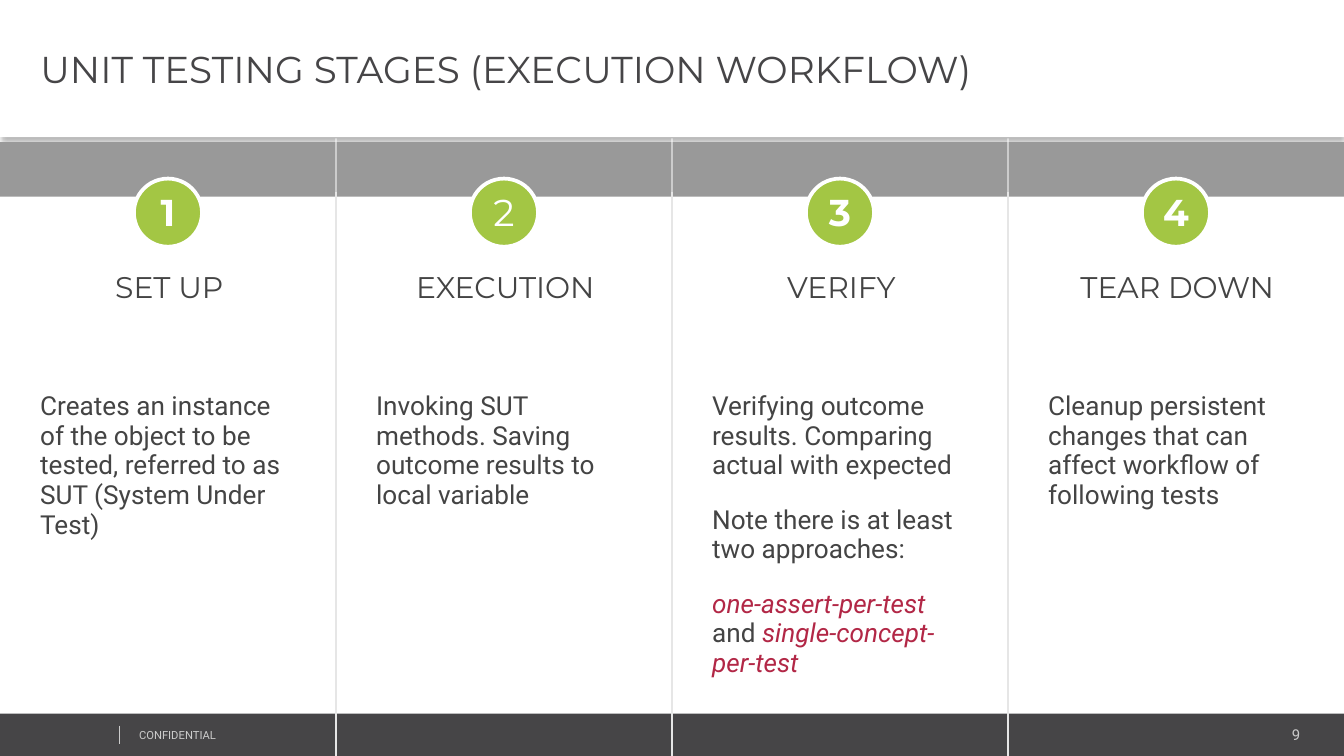
from lxml.etree import SubElement
from pptx import Presentation
from pptx.dml.color import RGBColor
from pptx.enum.shapes import MSO_CONNECTOR as Connector, MSO_SHAPE as Shape
from pptx.enum.text import MSO_ANCHOR as Anchor, MSO_AUTO_SIZE as AutoSize, PP_ALIGN as Align
from pptx.oxml.ns import qn
from pptx.util import Pt

WHITE = RGBColor(0xFF, 0xFF, 0xFF)
CHARCOAL = RGBColor(0x46, 0x45, 0x47)
TEXT = RGBColor(0x44, 0x44, 0x44)
BAND = RGBColor(0x99, 0x99, 0x99)
RULE = RGBColor(0xE6, 0xE6, 0xE6)
FOOTER_TEXT = RGBColor(0xCC, 0xCC, 0xCC)
GREEN = RGBColor(0xA3, 0xC6, 0x44)
CRIMSON = RGBColor(0xB2, 0x27, 0x46)
HEADING_FONT, BODY_FONT = "Montserrat", "Roboto"
WIDTH, HEIGHT = 720, 405

STAGES = [
    ("1", True, "SET UP", [
        [("Creates an instance of the object to be tested, "
          "referred to as SUT (System Under Test)", False)]]),
    ("2", False, "EXECUTION", [
        [("Invoking SUT methods. Saving outcome results to local variable", False)]]),
    ("3", True, "VERIFY", [
        [("Verifying outcome results. Comparing actual with expected", False)],
        [("Note there is at least two approaches:", False)],
        [("one-assert-per-test ", True), ("and ", False),
         ("single-concept-per-test", True)]]),
    ("4", True, "TEAR DOWN", [
        [("Cleanup persistent changes that can affect workflow of following tests", False)]]),
]


def add_span(para, text, font, size, color, bold=False, italic=False):
    """Append one formatted run to a paragraph."""
    span = para.add_run()
    span.text = text
    span.font.name, span.font.size = font, Pt(size)
    span.font.bold, span.font.italic = bold, italic
    span.font.color.rgb = color


def set_margins(frame, left, top, right, bottom):
    """Set the four insets of a text frame in points."""
    frame.margin_left, frame.margin_top = Pt(left), Pt(top)
    frame.margin_right, frame.margin_bottom = Pt(right), Pt(bottom)


def add_filled(page, kind, left, top, width, height, fill):
    """Add a flat preset shape without outline or shadow."""
    shape = page.shapes.add_shape(kind, Pt(left), Pt(top), Pt(width), Pt(height))
    shape.shadow.inherit = False
    shape.fill.solid()
    shape.fill.fore_color.rgb = fill
    shape.line.fill.background()
    return shape


def add_textbox(page, left, top, width, height):
    """Add a wrapping text box that grows with its text and return its frame."""
    box = page.shapes.add_textbox(Pt(left), Pt(top), Pt(width), Pt(height))
    box.text_frame.word_wrap = True
    box.text_frame.auto_size = AutoSize.SHAPE_TO_FIT_TEXT
    return box.text_frame


def add_vertical(page, x, top, bottom, color, weight, opacity=100):
    """Draw a vertical line with the given opacity in percent."""
    line = page.shapes.add_connector(Connector.STRAIGHT, Pt(x), Pt(top), Pt(x), Pt(bottom))
    line.line.color.rgb = color
    line.line.width = Pt(weight)
    properties = line.element.spPr
    if opacity < 100:
        paint = properties.find(".//" + qn("a:srgbClr"))
        SubElement(paint, qn("a:alpha"), val=str(opacity * 1000))
    SubElement(properties, qn("a:effectLst"))


def add_footer(page, left, top, width, height):
    """Place the dark footer bar, its label and the page number."""
    add_filled(page, Shape.RECTANGLE, left, top, width, height, CHARCOAL)
    parts = [("9", 8, Align.RIGHT, 584.64, 3.6, 117.36, 15.12),
             ("CONFIDENTIAL", 6, Align.LEFT, 69.12, 5, 182.16, 12.96)]
    for text, size, align, x, y, box_width, box_height in parts:
        frame = add_textbox(page, left + x, top + y, box_width, box_height)
        set_margins(frame, 5.4, 2.7, 5.4, 2.7)
        para = frame.paragraphs[0]
        para.alignment = align
        add_span(para, text, BODY_FONT, size, FOOTER_TEXT)
    add_vertical(page, left + 64, top + 6.5, top + 16.5, FOOTER_TEXT, 0.25)


def add_header(page, left, top, width, height):
    """Place the white title panel with its soft lower shadow."""
    panel = add_filled(page, Shape.RECTANGLE, left, top, width, height, WHITE)
    effects = panel.element.spPr.find(qn("a:effectLst"))
    shadow = SubElement(effects, qn("a:outerShdw"), blurRad=str(Pt(3.1)),
                        dist=str(Pt(2)), dir="5400000", algn="t", rotWithShape="0")
    paint = SubElement(shadow, qn("a:srgbClr"), val="000000")
    SubElement(paint, qn("a:alpha"), val="30000")
    frame = panel.text_frame
    frame.word_wrap = True
    frame.vertical_anchor = Anchor.MIDDLE
    set_margins(frame, 21.6, 2.7, 5.4, 2.7)
    para = frame.paragraphs[0]
    para.alignment = Align.LEFT
    add_span(para, "UNIT TESTING STAGES (EXECUTION WORKFLOW)", HEADING_FONT, 20, CHARCOAL)


def add_badge(page, center, top, size, number, bold):
    """Place a numbered green circle centred on a column."""
    badge = add_filled(page, Shape.OVAL, center - size / 2, top, size, size, GREEN)
    badge.line.color.rgb = WHITE
    badge.line.width = Pt(2)
    frame = badge.text_frame
    frame.vertical_anchor = Anchor.MIDDLE
    set_margins(frame, 0, 2.25, 0, 3.6)
    para = frame.paragraphs[0]
    para.alignment = Align.CENTER
    add_span(para, number, HEADING_FONT, 20, WHITE, bold)


def add_stage(page, left, top, width, stage):
    """Place the badge, heading and description of one stage column."""
    number, bold, heading, paragraphs = stage
    add_badge(page, left + width / 2, top + 19.5, 36.5, number, bold)
    text_left, text_width = left + 14.4, width - 27.4
    para = add_textbox(page, text_left, top + 65.5, text_width, 25.2).paragraphs[0]
    para.alignment = Align.CENTER
    para.line_spacing = Pt(18)
    add_span(para, heading, HEADING_FONT, 16, TEXT)
    frame = add_textbox(page, text_left, top + 129.6, text_width, 72)
    for index, spans in enumerate(paragraphs):
        para = frame.add_paragraph() if index else frame.paragraphs[0]
        para.line_spacing, para.space_after = Pt(16), Pt(13)
        for text, stressed in spans:
            add_span(para, text, BODY_FONT, 14, CRIMSON if stressed else TEXT, italic=stressed)


def add_stages(page, left, top, width, height):
    """Place the grey band, the column dividers and all stage columns."""
    add_filled(page, Shape.RECTANGLE, left, top, width, 29.2, BAND)
    column = width / len(STAGES)
    for index, stage in enumerate(STAGES):
        x = left + index * column
        if index:
            add_vertical(page, x, top - 2, top + 26.7, WHITE, 1, 50)
            add_vertical(page, x, top + 26.7, top + height, RULE, 1)
        add_stage(page, x, top, column, stage)


def main():
    """Build the slide and save the deck."""
    deck = Presentation()
    deck.slide_width, deck.slide_height = Pt(WIDTH), Pt(HEIGHT)
    page = deck.slides.add_slide(deck.slide_layouts[6])
    add_footer(page, 0, 382.3, WIDTH, HEIGHT - 382.3)
    add_header(page, 0, 0, WIDTH, 73.5)
    add_stages(page, 0, 76.2, WIDTH, HEIGHT - 76.2)
    deck.save("out.pptx")


if __name__ == "__main__":
    main()
